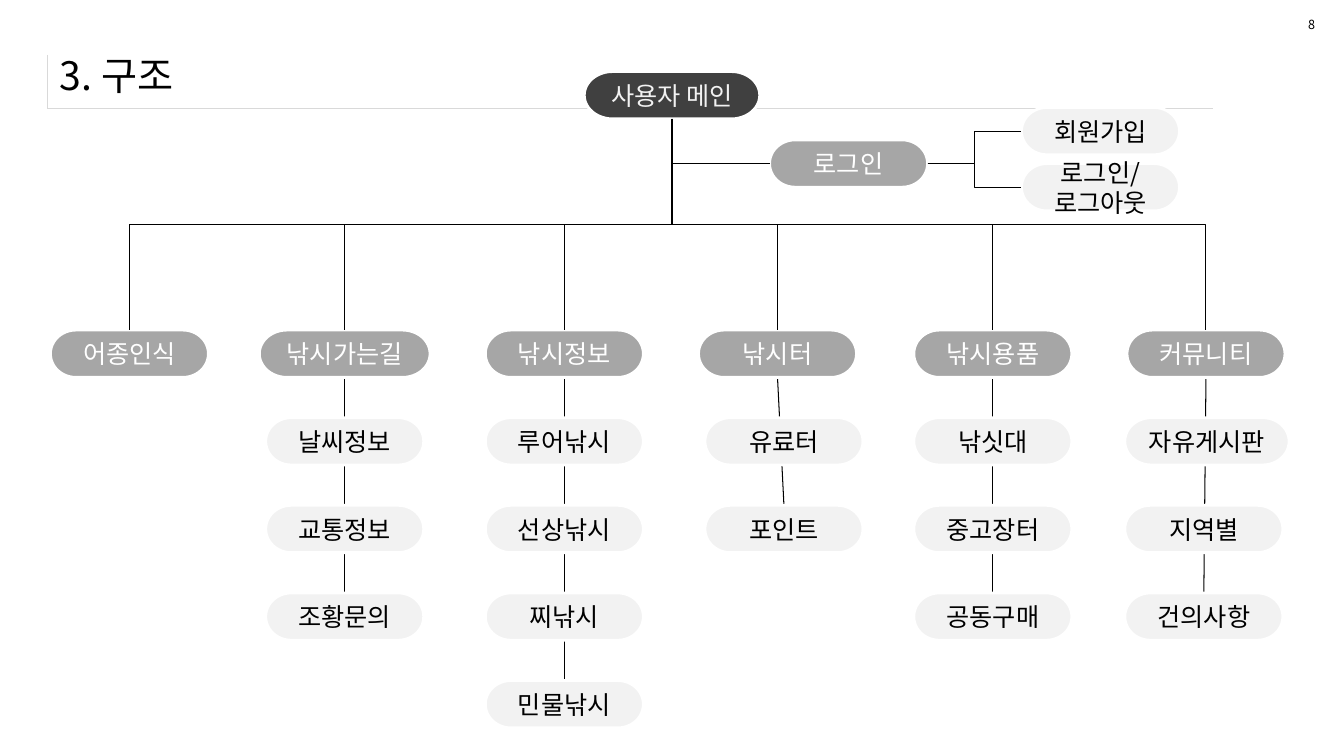
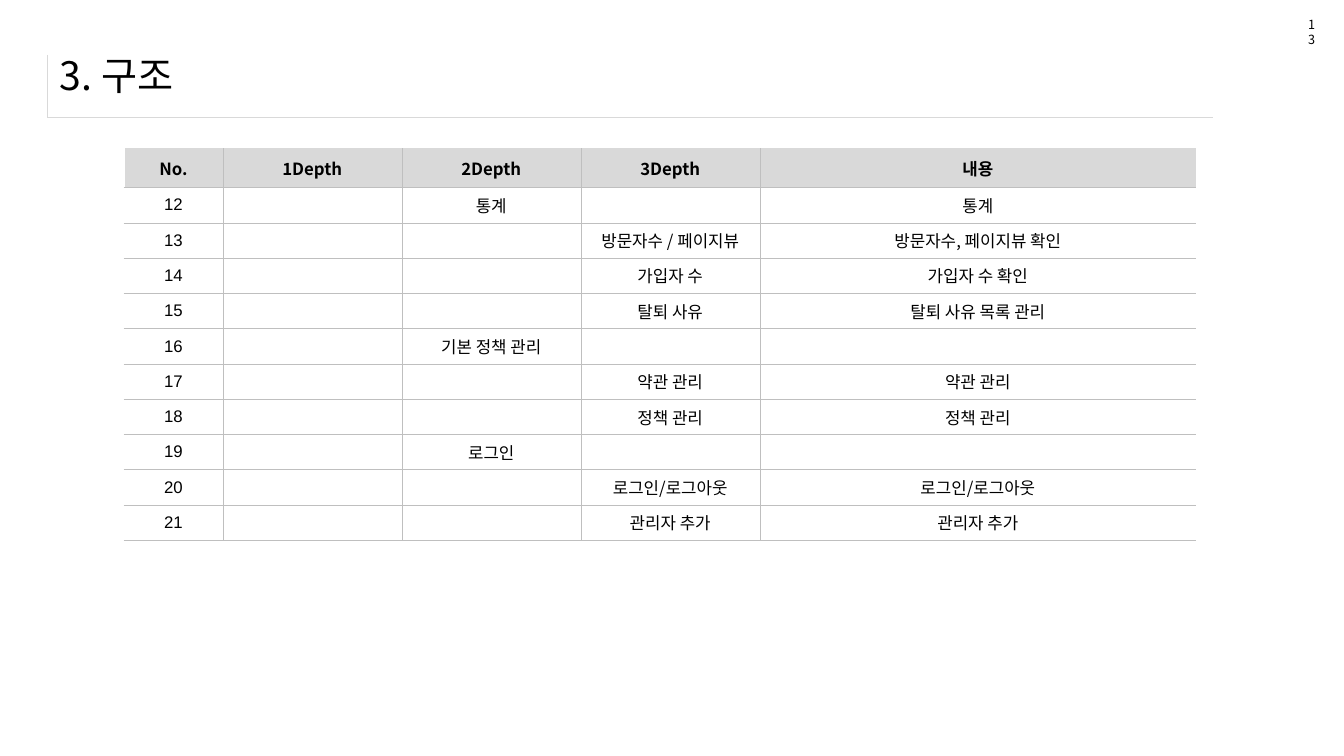
from dataclasses import dataclass
from lxml import etree
from pptx import Presentation, util as u
from pptx.dml.color import RGBColor
from pptx.enum import shapes, text
from pptx.oxml import ns

WIDTH, HEIGHT = 13.33, 7.5
FONT, NUMBER_FONT = "Noto Sans CJK KR", "Arial"
COLORS = {
    "ink": "000000", "white": "FFFFFF", "root": "404040", "branch": "A6A6A6",
    "leaf": "F2F2F2", "frame": "D9D9D9", "header": "D9D9D9", "grid": "BFBFBF",
}
PILLS = {"root": "leaf", "branch": "white", "leaf": "ink"}
NO_STYLE = "{2D5ABB26-0587-4C30-8999-92F81FD0307C}"


@dataclass
class Box:
    left: float
    top: float
    width: float
    height: float

    def inches(self):
        return [u.Inches(v) for v in (self.left, self.top, self.width, self.height)]


def area(left, top, width, height):
    return Box(left * WIDTH, top * HEIGHT, width * WIDTH, height * HEIGHT)


TITLE = area(0.037, 0.055, 0.937, 0.089)
NUMBER = area(0.966, 0.016, 0.02, 0.033)
TREE = area(0.0375, 0.0947, 0.9186, 0.867)
TABLE = area(0.0924, 0.196, 0.7975, 0.519)

BRANCHES = [
    (0, 0, "어종인식", []),
    (1, 1, "낚시가는길", ["날씨정보", "교통정보", "조황문의"]),
    (2.02, 2.02, "낚시정보", ["루어낚시", "선상낚시", "찌낚시", "민물낚시"]),
    (3.01, 3.04, "낚시터", ["유료터", "포인트"]),
    (4.01, 4.01, "낚시용품", ["낚싯대", "중고장터", "공동구매"]),
    (5, 4.99, "커뮤니티", ["자유게시판", "지역별", "건의사항"]),
]
HEADINGS = ["No.", "1Depth", "2Depth", "3Depth", "내용"]
FIRST_NUMBER = 12
RECORDS = [
    ("통계", "", "통계"),
    ("", "방문자수 / 페이지뷰", "방문자수, 페이지뷰 확인"),
    ("", "가입자 수", "가입자 수 확인"),
    ("", "탈퇴 사유", "탈퇴 사유 목록 관리"),
    ("기본 정책 관리", "", ""),
    ("", "약관 관리", "약관 관리"),
    ("", "정책 관리", "정책 관리"),
    ("로그인", "", ""),
    ("", "로그인/로그아웃", "로그인/로그아웃"),
    ("", "관리자 추가", "관리자 추가"),
]


def color(name):
    return RGBColor.from_string(COLORS[name])


def add_span(para, words, size, ink="ink", bold=False, font=FONT):
    span = para.add_run()
    span.text = words
    span.font.size = u.Pt(size)
    span.font.bold = bold
    span.font.color.rgb = color(ink)
    span.font.name = font
    latin = span.font._element.find(ns.qn("a:latin"))
    latin.addnext(etree.Element(ns.qn("a:ea"), typeface=FONT))


def add_text(page, box, words, size, anchor):
    frame = page.shapes.add_textbox(*box.inches()).text_frame
    frame.word_wrap = True
    frame.vertical_anchor = anchor
    add_span(frame.paragraphs[0], words, size)


def add_line(page, start, end, kind=shapes.MSO_CONNECTOR.STRAIGHT):
    line = page.shapes.add_connector(kind, *[u.Inches(v) for v in (*start, *end)])
    line.line.color.rgb = color("ink")
    line.line.width = u.Pt(0.75)
    etree.SubElement(line._element.spPr, ns.qn("a:effectLst"))
    return line


def add_drop(page, start, end, geometry="bentConnector3"):
    (x1, y1), (x2, y2) = start, end
    middle_x, middle_y = (x1 + x2) / 2, (y1 + y2) / 2
    along, across = (y2 - y1) / 2, abs(x2 - x1) / 2
    line = add_line(page, (middle_x - along, middle_y - across),
                    (middle_x + along, middle_y + across),
                    shapes.MSO_CONNECTOR.ELBOW)
    props = line._element.spPr
    frame = props.find(ns.qn("a:xfrm"))
    frame.set("rot", str((90 if x2 < x1 else 270) * 60000))
    if x2 > x1:
        frame.set("flipH", "1")
    props.find(ns.qn("a:prstGeom")).set("prst", geometry)


def add_grid(page, box, rows, columns):
    grid = page.shapes.add_table(rows, columns, *box.inches()).table
    grid.first_row = grid.horz_banding = False
    grid._tbl.tblPr.find(ns.qn("a:tableStyleId")).text = NO_STYLE
    return grid


def set_borders(cell, **sides):
    props = cell._tc.get_or_add_tcPr()
    for side in "LRTB":
        ink, weight = sides.get(side, (None, 0))
        edge = etree.SubElement(props, ns.qn("a:ln" + side), w=str(u.Pt(weight)))
        if ink:
            fill = etree.SubElement(edge, ns.qn("a:solidFill"))
            etree.SubElement(fill, ns.qn("a:srgbClr"), val=COLORS[ink])
        else:
            etree.SubElement(edge, ns.qn("a:noFill"))


def leave_empty(cell):
    para = cell.text_frame.paragraphs[0]
    etree.SubElement(para._p, ns.qn("a:endParaRPr"), sz="1200")


def add_page(deck, title, number, frame_height):
    page = deck.slides.add_slide(deck.slide_layouts[6])
    cell = add_grid(page, area(0.0353, 0.0725, 0.867, frame_height), 1, 1).cell(0, 0)
    set_borders(cell, L=("frame", 0.25), B=("frame", 0.25))
    cell.fill.background()
    leave_empty(cell)
    add_text(page, TITLE, title, 28, text.MSO_ANCHOR.MIDDLE)
    add_text(page, NUMBER, str(number), 9, text.MSO_ANCHOR.TOP)
    return page


def add_pill(page, box, kind, lines):
    pill = page.shapes.add_shape(
        shapes.MSO_SHAPE.FLOWCHART_TERMINATOR, *box.inches())
    pill.shadow.inherit = False
    pill.fill.solid()
    pill.fill.fore_color.rgb = color(kind)
    pill.line.color.rgb = color("white")
    pill.line.width = u.Pt(2)
    frame = pill.text_frame
    frame.word_wrap = True
    frame.vertical_anchor = text.MSO_ANCHOR.MIDDLE
    for index, words in enumerate(lines):
        para = frame.add_paragraph() if index else frame.paragraphs[0]
        para.alignment = text.PP_ALIGN.CENTER
        add_span(para, words, 18, PILLS[kind])


def draw_tree(page, box):
    pill_width = box.width * 0.128
    column = (box.width - pill_width) / 5
    row = box.height / 7.48
    tall = 0.54
    root, login, member = 2.52, 3.34, 4.51
    login_row, member_rows, head_row = 0.78, (0.41, 1.05), 2.95

    def point(col, line):
        return box.left + pill_width / 2 + col * column, box.top + line * row

    def pill(col, line, kind, *lines, stretch=1.0, shift=0.5):
        x, y = point(col, line)
        width = pill_width * stretch
        left = x - pill_width / 2 - (width - pill_width) * shift
        add_pill(page, Box(left, y, width, row * tall), kind, lines)

    for head, stem, name, leaves in reversed(BRANCHES):
        if leaves:
            add_line(page, point(head, head_row + tall),
                     point(stem, head_row + len(leaves)))

    pill(root, 0, "root", "사용자 메인", stretch=1.11)
    pill(login, login_row, "branch", "로그인")
    pill(member, member_rows[0], "leaf", "회원가입")
    pill(member, member_rows[1], "leaf", "로그인/", "로그아웃")
    for head, stem, name, leaves in BRANCHES:
        pill(head, head_row, "branch", name, stretch=1.08 if len(name) > 4 else 1)
        for index, leaf in enumerate(leaves, 1):
            pill(stem, head_row + index, "leaf", leaf,
                 stretch=1.04 if len(leaf) > 4 else 1, shift=0)

    trunk = point(root, tall)
    for head, *_ in BRANCHES:
        add_drop(page, trunk, point(head, head_row))
    half = pill_width / column / 2
    middle = login_row + tall / 2
    add_drop(page, trunk, point(login - half, middle), "bentConnector2")
    for line in member_rows:
        add_line(page, point(login + half, middle),
                 point(member - half, line + tall / 2), shapes.MSO_CONNECTOR.ELBOW)


def fill_cell(cell, words, header, first, last):
    thin = ("grid", 0.25)
    sides = {"L": ("white", 1) if first else thin, "B": thin}
    if not last:
        sides["R"] = thin
    if not header:
        sides["T"] = thin
    set_borders(cell, **sides)
    if header:
        cell.fill.solid()
        cell.fill.fore_color.rgb = color("header")
    else:
        cell.fill.background()
    cell.vertical_anchor = text.MSO_ANCHOR.MIDDLE
    if not words:
        leave_empty(cell)
        return
    para = cell.text_frame.paragraphs[0]
    para.alignment = text.PP_ALIGN.CENTER
    font = NUMBER_FONT if first and not header else FONT
    add_span(para, words, 12, bold=header, font=font)


def draw_table(page, box):
    rows = [HEADINGS] + [
        (str(number), "", *record) for number, record in enumerate(RECORDS, FIRST_NUMBER)]
    last = len(HEADINGS) - 1
    grid = add_grid(page, box, len(rows), len(HEADINGS))
    for column, share in zip(grid.columns, (0.092, 0.167, 0.167, 0.167, 0.407)):
        column.width = u.Inches(box.width * share)
    header_height = box.height * 0.1
    body_height = (box.height - header_height) / len(RECORDS)
    for r, values in enumerate(rows):
        grid.rows[r].height = u.Inches(body_height if r else header_height)
        for c, words in enumerate(values):
            fill_cell(grid.cell(r, c), words, r == 0, c == 0, c == last)


def main():
    deck = Presentation()
    deck.slide_width, deck.slide_height = u.Inches(WIDTH), u.Inches(HEIGHT)
    draw_tree(add_page(deck, "3. 구조", 8, 0.0705), TREE)
    draw_table(add_page(deck, "3. 구조", 13, 0.0825), TABLE)
    deck.save("out.pptx")


if __name__ == "__main__":
    main()
